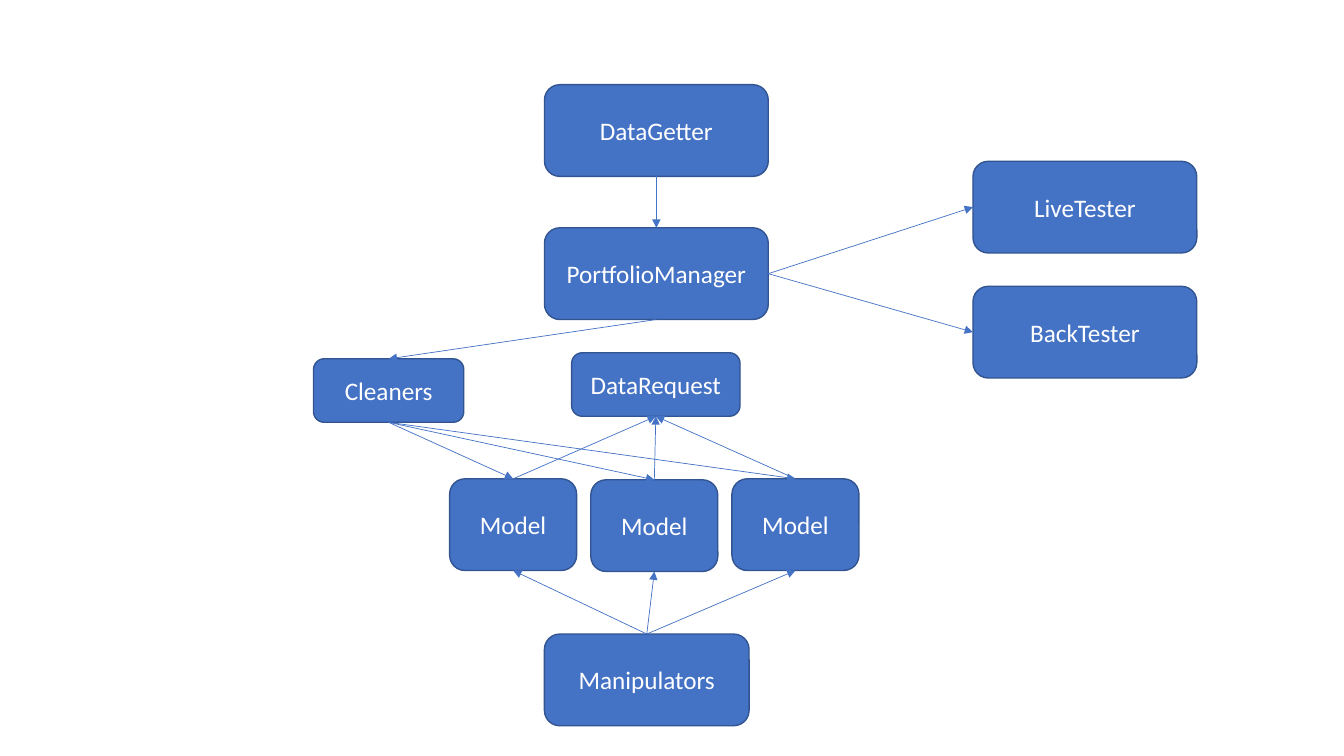
from dataclasses import dataclass

from lxml.etree import SubElement as Sub
from pptx import Presentation as Deck
from pptx.dml.color import RGBColor as Color
from pptx.enum.shapes import MSO_CONNECTOR as Link, MSO_SHAPE as Form
from pptx.enum.text import MSO_ANCHOR as Anchor, PP_ALIGN as Align
from pptx.oxml.ns import qn
from pptx.util import Inches, Pt


@dataclass(frozen=True)
class Theme:
    fill: Color = Color.from_string("4472C4")
    edge: Color = Color.from_string("325491")
    text: Color = Color.from_string("FFFFFF")
    font: str = "Calibri"
    size: Pt = Pt(18)
    rim: Pt = Pt(1)
    wire: Pt = Pt(0.5)


THEME = Theme()
CELL = 0.1  # grid step in inches: 133.3 columns by 75 rows
TALL, LOW = 9.1, 6.3  # node heights in rows
WIDE = 22.2  # main node width in columns
TOP, LEFT, FOOT, RIGHT = range(4)  # connection sites


def grid(cells):
    return Inches(cells * CELL)


def node(slide, box, label, col, row, wide, high=TALL):
    """Rounded node, placed relative to the region's box."""
    x, y = box
    shape = slide.shapes.add_shape(
        Form.ROUNDED_RECTANGLE,
        grid(x + col), grid(y + row), grid(wide), grid(high))
    shape.shadow.inherit = False
    shape.fill.solid()
    shape.fill.fore_color.rgb = THEME.fill
    shape.line.color.rgb = THEME.edge
    shape.line.width = THEME.rim
    frame = shape.text_frame
    frame.word_wrap = True
    frame.vertical_anchor = Anchor.MIDDLE
    para = frame.paragraphs[0]
    para.alignment = Align.CENTER
    run = para.add_run()
    run.text = label
    run.font.name = THEME.font
    run.font.size = THEME.size
    run.font.color.rgb = THEME.text
    return shape


def arrow(slide, start, out, end, into):
    """Arrow glued to one site of each node."""
    line = slide.shapes.add_connector(Link.STRAIGHT, 0, 0, 0, 0)
    line.begin_connect(start, out)
    line.end_connect(end, into)
    line.line.color.rgb = THEME.fill
    line.line.width = THEME.wire
    Sub(line.line._get_or_add_ln(), qn("a:tailEnd"), type="triangle")
    Sub(line._element.spPr, qn("a:effectLst"))


def core(slide, box):
    """Data source feeding the manager."""
    data = node(slide, box, "DataGetter", 0, 0, WIDE)
    boss = node(slide, box, "PortfolioManager", 0, 14.2, WIDE)
    arrow(slide, data, FOOT, boss, TOP)
    return boss


def tests(slide, box, boss):
    """Testers stacked to the right of the manager."""
    for i, label in enumerate(("LiveTester", "BackTester")):
        test = node(slide, box, label, 0, 12.4 * i, WIDE)
        arrow(slide, boss, RIGHT, test, LEFT)


def models(slide, box, boss):
    """Models between cleaners, request and manipulators."""
    clean = node(slide, box, "Cleaners", 0, 0.6, 14.9, LOW)
    ask = node(slide, box, "DataRequest", 25.6, 0, 16.7, LOW)
    tool = node(slide, box, "Manipulators", 22.9, 27.9, 20.3)
    arrow(slide, boss, FOOT, clean, TOP)
    for i, row in enumerate((12.5, 12.6, 12.5)):
        model = node(slide, box, "Model", 13.5 + 14 * i, row, 12.6)
        arrow(slide, clean, FOOT, model, TOP)
        arrow(slide, model, TOP, ask, FOOT)
        arrow(slide, tool, TOP, model, FOOT)


deck = Deck()
deck.slide_width, deck.slide_height = Inches(13.33), Inches(7.5)
slide = deck.slides.add_slide(deck.slide_layouts[6])

# Regions, each at its left column and top row
boss = core(slide, (54, 8.4))
tests(slide, (96.5, 16), boss)
models(slide, (31.1, 35), boss)

deck.save("out.pptx")
